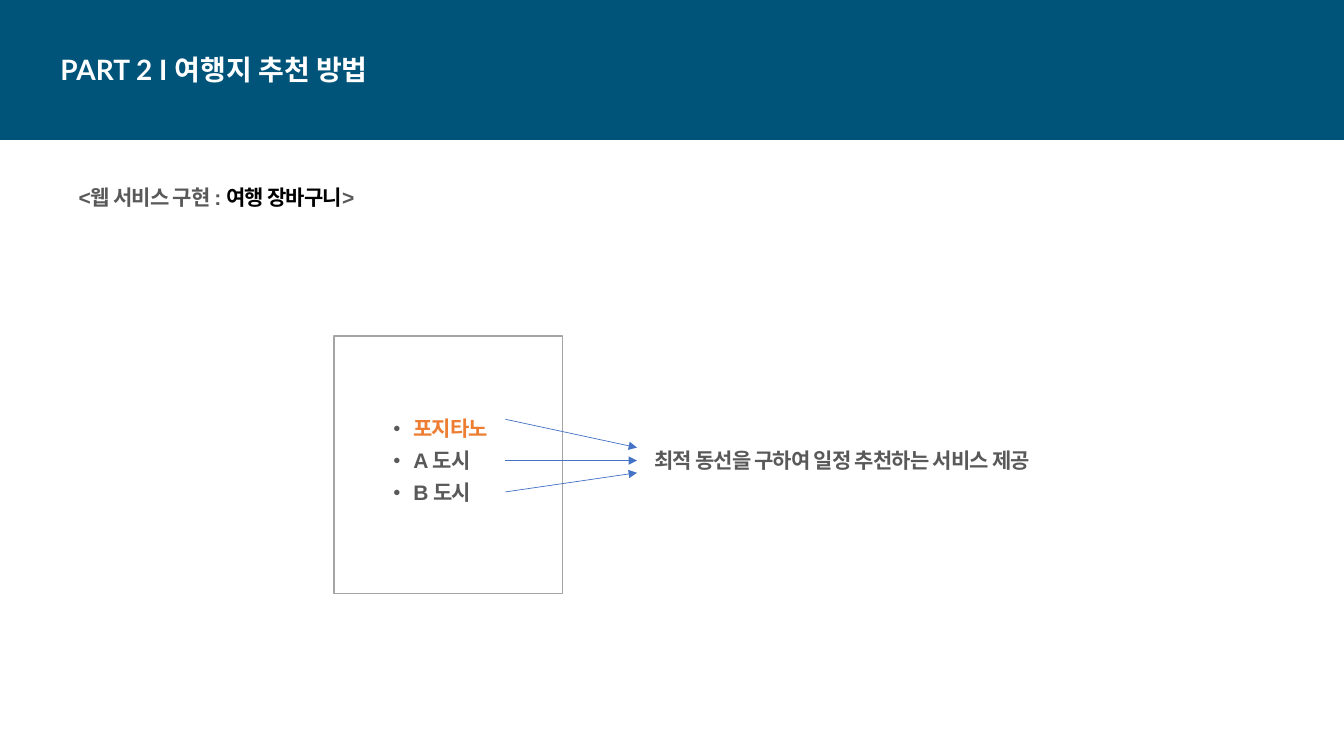
"""Build the travel recommendation slide with its basket of cities."""
from dataclasses import dataclass

from lxml.etree import SubElement
from pptx import Presentation
from pptx.dml.color import RGBColor
from pptx.enum.shapes import MSO_CONNECTOR, MSO_SHAPE
from pptx.enum.text import MSO_ANCHOR, MSO_AUTO_SIZE, PP_ALIGN
from pptx.oxml.ns import qn
from pptx.util import Pt

GREY, BLACK, WHITE, ORANGE = "595959", "000000", "FFFFFF", "ED7D31"
NAVY, BORDER, BLUE = "00547A", "A5A5A5", "4472C4"


@dataclass(frozen=True)
class Box:
    left: float
    top: float
    width: float
    height: float


@dataclass(frozen=True)
class Panel:
    box: Box
    fill: str
    line: str | None = None


@dataclass(frozen=True)
class Arrow:
    start_y: float
    end_y: float


@dataclass(frozen=True)
class Run:
    text: str
    color: str = GREY


PANELS = [
    Panel(Box(238.5, 240, 163.5, 184), WHITE, BORDER),
    Panel(Box(0, 0, 960, 100), NAVY),
]
ARROW_LEFT, ARROW_RIGHT = 361, 455
ARROWS = [Arrow(299.5, 319.7), Arrow(329, 329), Arrow(351.4, 337.7)]
TITLE = [[Run("PART 2 I 여행지 추천 방법", WHITE)]]
HEADING = [[Run("<웹 서비스 구현 : "), Run("여행 장바구니", BLACK), Run(">")]]
CITIES = [[Run("포지타노", ORANGE)], [Run("A 도시")], [Run("B 도시")]]
RESULT = [[Run("최적 동선을 구하여 일정 추천하는 서비스 제공")]]


def paint(color_format, color: str) -> None:
    """Apply a hex colour to a fill, a line fill or a font fill."""
    color_format.solid()
    color_format.fore_color.rgb = RGBColor.from_string(color)


def place(shape, box: Box) -> None:
    """Move and size a shape, and bring it to the front."""
    shape.left, shape.top = Pt(box.left), Pt(box.top)
    shape.width, shape.height = Pt(box.width), Pt(box.height)
    shape.element.getparent().append(shape.element)


def add_bullet(paragraph) -> None:
    """Give a paragraph a small grey bullet and a hanging indent."""
    properties = paragraph._p.get_or_add_pPr()
    properties.set("marL", str(Pt(14.4)))
    properties.set("indent", str(-Pt(14.4)))
    bullet_color = SubElement(properties, qn("a:buClr"))
    SubElement(bullet_color, qn("a:srgbClr"), val=GREY)
    SubElement(properties, qn("a:buSzPct"), val="60000")
    SubElement(properties, qn("a:buChar"), char="●")


def write_text(shape, paragraphs: list[list[Run]], *, size: float = 15,
               font: str = "Arial", before: float = 5, spacing: float = -0.6,
               bullets: bool = False) -> None:
    """Fill a shape with bold left-aligned paragraphs."""
    frame = shape.text_frame
    frame.word_wrap = True
    frame.auto_size = MSO_AUTO_SIZE.SHAPE_TO_FIT_TEXT
    frame.vertical_anchor = MSO_ANCHOR.TOP
    frame.margin_left = frame.margin_top = frame.margin_right = frame.margin_bottom = 0
    for index, runs in enumerate(paragraphs):
        paragraph = frame.add_paragraph() if index else frame.paragraphs[0]
        paragraph.alignment = PP_ALIGN.LEFT
        paragraph.space_before = Pt(before)
        if bullets:
            add_bullet(paragraph)
        for item in runs:
            run = paragraph.add_run()
            run.text = item.text
            run.font.name, run.font.size, run.font.bold = font, Pt(size), True
            paint(run.font.fill, item.color)
            if spacing:
                run.font._element.set("spc", str(round(spacing * 100)))


def add_panel(slide, panel: Panel) -> None:
    """Draw a filled rectangle with an optional border."""
    box = panel.box
    shape = slide.shapes.add_shape(MSO_SHAPE.RECTANGLE, Pt(box.left), Pt(box.top),
                                   Pt(box.width), Pt(box.height))
    shape.shadow.inherit = False
    paint(shape.fill, panel.fill)
    if panel.line:
        paint(shape.line.fill, panel.line)
        shape.line.width = Pt(1)
    else:
        shape.line.fill.background()


def add_text_box(slide, box: Box, paragraphs: list[list[Run]]) -> None:
    """Add a text box in the common text style."""
    shape = slide.shapes.add_textbox(Pt(box.left), Pt(box.top),
                                     Pt(box.width), Pt(box.height))
    write_text(shape, paragraphs)


def add_arrow(slide, arrow: Arrow) -> None:
    """Draw a thin arrow from a city to the result."""
    connector = slide.shapes.add_connector(
        MSO_CONNECTOR.STRAIGHT, Pt(ARROW_LEFT), Pt(arrow.start_y),
        Pt(ARROW_RIGHT), Pt(arrow.end_y))
    paint(connector.line.fill, BLUE)
    connector.line.width = Pt(0.5)
    SubElement(connector.line._get_or_add_ln(), qn("a:tailEnd"), type="triangle")
    SubElement(connector.element.spPr, qn("a:effectLst"))


def main() -> None:
    """Create and save the presentation."""
    presentation = Presentation()
    presentation.slide_width, presentation.slide_height = Pt(960), Pt(540)
    slide = presentation.slides.add_slide(presentation.slide_layouts[1])
    for panel in PANELS:
        add_panel(slide, panel)

    title, city_list = slide.shapes.title, slide.placeholders[1]
    place(title, Box(43.2, 37.4, 371, 24.5))
    write_text(title, TITLE, size=20, font="Lato", before=0, spacing=0)
    add_text_box(slide, Box(56.2, 131.8, 345.6, 18), HEADING)
    place(city_list, Box(280.8, 296.6, 98.6, 64.8))
    write_text(city_list, CITIES, bullets=True)
    add_text_box(slide, Box(467.3, 319.7, 306, 18), RESULT)

    for arrow in ARROWS:
        add_arrow(slide, arrow)
    presentation.save("out.pptx")


if __name__ == "__main__":
    main()
